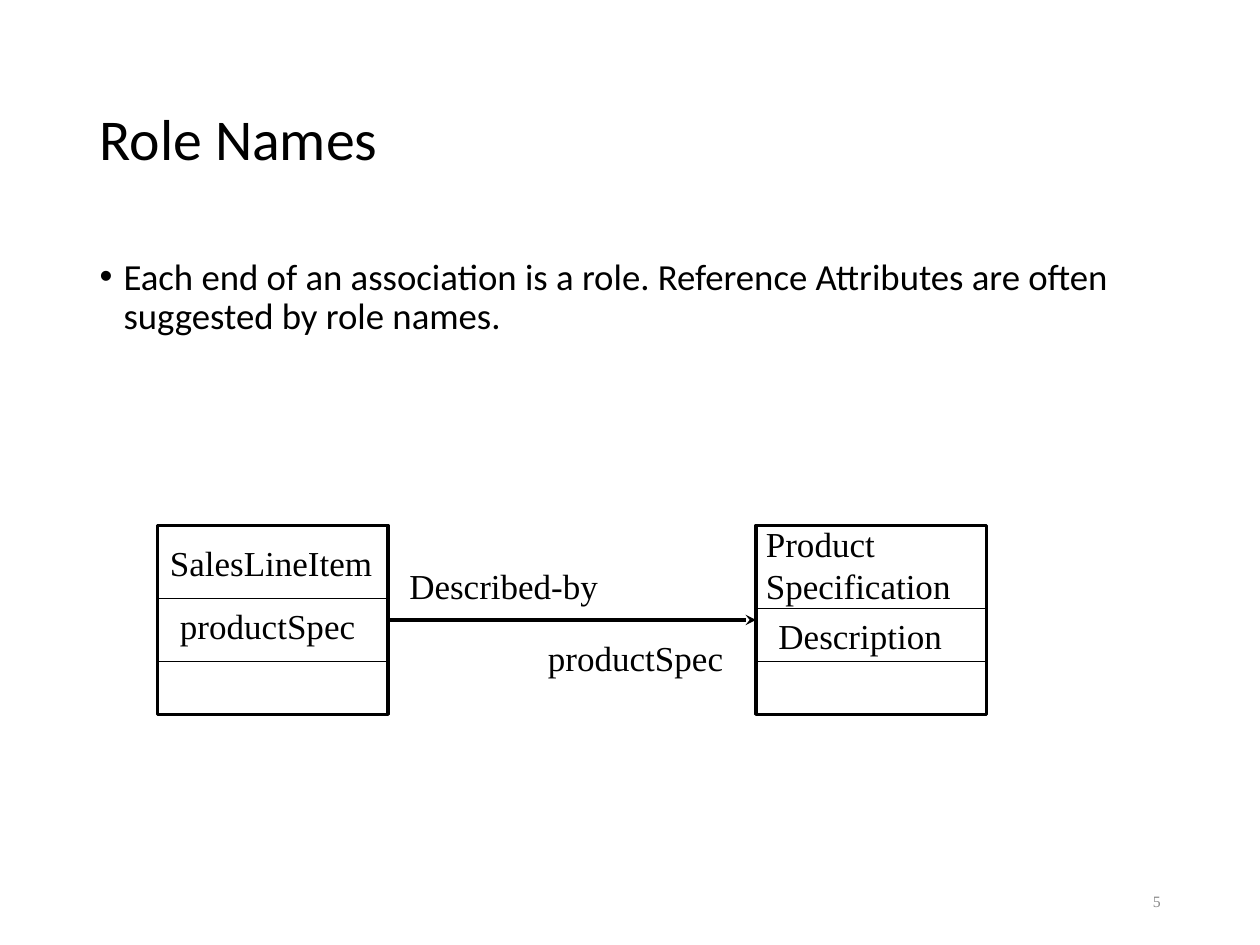
from lxml import etree
from pptx import Presentation
from pptx.dml.color import RGBColor
from pptx.enum.shapes import MSO_CONNECTOR, MSO_SHAPE
from pptx.enum.text import MSO_ANCHOR, MSO_AUTO_SIZE, PP_ALIGN
from pptx.oxml.ns import qn
from pptx.util import Inches, Pt

RECTANGLE = MSO_SHAPE.RECTANGLE
STRAIGHT = MSO_CONNECTOR.STRAIGHT
TOP, MIDDLE = MSO_ANCHOR.TOP, MSO_ANCHOR.MIDDLE
LEFT, RIGHT = PP_ALIGN.LEFT, PP_ALIGN.RIGHT
FIXED, GROW = MSO_AUTO_SIZE.NONE, MSO_AUTO_SIZE.SHAPE_TO_FIT_TEXT
COLORS = {"ink": "000000", "paper": "FFFFFF", "muted": "898989"}
SANS, SERIF = "Calibri", "Times New Roman"
CLASS_SIZE = (1.83, 1.5)


def color(name):
    """Return a named colour."""
    return RGBColor.from_string(COLORS[name])


def place(shape, box):
    """Move and size a shape to a box in inches."""
    shape.left, shape.top, shape.width, shape.height = map(Inches, box)


def add_bullet(paragraph, indent):
    """Give a paragraph a round bullet with a hanging indent."""
    properties = paragraph._p.get_or_add_pPr()
    properties.set("marL", str(Inches(indent)))
    properties.set("indent", str(-Inches(indent)))
    font = etree.SubElement(properties, qn("a:buFont"))
    font.set("typeface", "Arial")
    etree.SubElement(properties, qn("a:buChar")).set("char", "•")


def write(shape, text, size=20, font=SERIF, ink="ink", align=LEFT, anchor=TOP,
          spacing=1.0, wrap=True, fit=FIXED, bullet_indent=None):
    """Write formatted text into a shape, one paragraph per line."""
    frame = shape.text_frame
    frame.text = text
    frame.word_wrap, frame.auto_size = wrap, fit
    frame.vertical_anchor = anchor
    for paragraph in frame.paragraphs:
        if bullet_indent is not None:
            add_bullet(paragraph, bullet_indent)
        paragraph.alignment = align
        paragraph.line_spacing = spacing
        paragraph.space_before = Pt(0)
        paragraph.font.size, paragraph.font.name = Pt(size), font
        paragraph.font.color.rgb = color(ink)


def add_label(slide, text, box, **style):
    """Add a text box in a given box."""
    label = slide.shapes.add_textbox(*map(Inches, box))
    write(label, text, **style)


def add_line(slide, start, end, width, arrow=False):
    """Add a straight line, with an optional arrowhead at its end."""
    line = slide.shapes.add_connector(STRAIGHT, *map(Inches, start + end))
    line.line.color.rgb = color("ink")
    line.line.width = Pt(width)
    if arrow:
        head = etree.SubElement(line.line._get_or_add_ln(), qn("a:tailEnd"))
        head.set("type", "stealth")
    etree.SubElement(line._element.spPr, qn("a:effectLst"))


def add_class(slide, box, dividers, labels):
    """Draw a class box with dividers and labels offset from its corner."""
    left, top, width, height = box
    frame = slide.shapes.add_shape(RECTANGLE, *map(Inches, box))
    frame.shadow.inherit = False
    frame.fill.background()
    frame.line.color.rgb = color("ink")
    frame.line.width = Pt(2)
    for offset in dividers:
        add_line(slide, (left, top + offset), (left + width, top + offset), 0.75)
    for text, (x, y, label_width, label_height) in labels:
        add_label(slide, text, (left + x, top + y, label_width, label_height),
                  wrap=False, fit=GROW)


def add_association(slide, box, labels):
    """Draw an arrow along the middle of a box, with its labels."""
    left, top, width, height = box
    middle = top + height / 2
    add_line(slide, (left, middle), (left + width, middle), 2, arrow=True)
    for text, (x, y, label_width, label_height) in labels:
        add_label(slide, text, (left + x, top + y, label_width, label_height),
                  wrap=False, fit=GROW)


def add_heading(slide, box):
    """Fill the title placeholder."""
    place(slide.shapes.title, box)
    write(slide.shapes.title, "Role Names", size=33, font=SANS, anchor=MIDDLE,
          spacing=0.9)


def add_body(slide, box):
    """Fill the body placeholder with the bullet."""
    body = slide.placeholders[1]
    place(body, box)
    write(body, "Each end of an association is a role. Reference Attributes are "
          "often suggested by role names.", size=21, font=SANS, spacing=0.9,
          bullet_indent=0.19)


def main():
    """Build and save the slide."""
    presentation = Presentation()
    presentation.slide_width, presentation.slide_height = Inches(10), Inches(7.5)
    slide = presentation.slides.add_slide(presentation.slide_layouts[1])
    slide.background.fill.solid()
    slide.background.fill.fore_color.rgb = color("paper")
    add_heading(slide, (0.69, 0.4, 8.63, 1.45))
    add_body(slide, (0.69, 2, 8.63, 4.76))
    add_label(slide, "5", (7.06, 6.95, 2.25, 0.4), size=9, ink="muted",
              align=RIGHT, anchor=MIDDLE)
    add_class(slide, (1.25, 4.17, *CLASS_SIZE), (0.58, 1.08), (
        ("SalesLineItem", (0, 0.08, 1.81, 0.44)),
        ("productSpec", (0.08, 0.58, 1.59, 0.44))))
    add_class(slide, (6, 4.17, *CLASS_SIZE), (0.66, 1.08), (
        ("Product\nSpecification", (-0.02, -0.07, 1.67, 0.77)),
        ("Description", (0.08, 0.66, 1.5, 0.44))))
    add_association(slide, (3.08, 4.17, 2.92, 1.5), (
        ("Described-by", (0.07, 0.26, 1.7, 0.44)),
        ("productSpec", (1.17, 0.83, 1.59, 0.44))))
    presentation.save("out.pptx")


if __name__ == "__main__":
    main()
